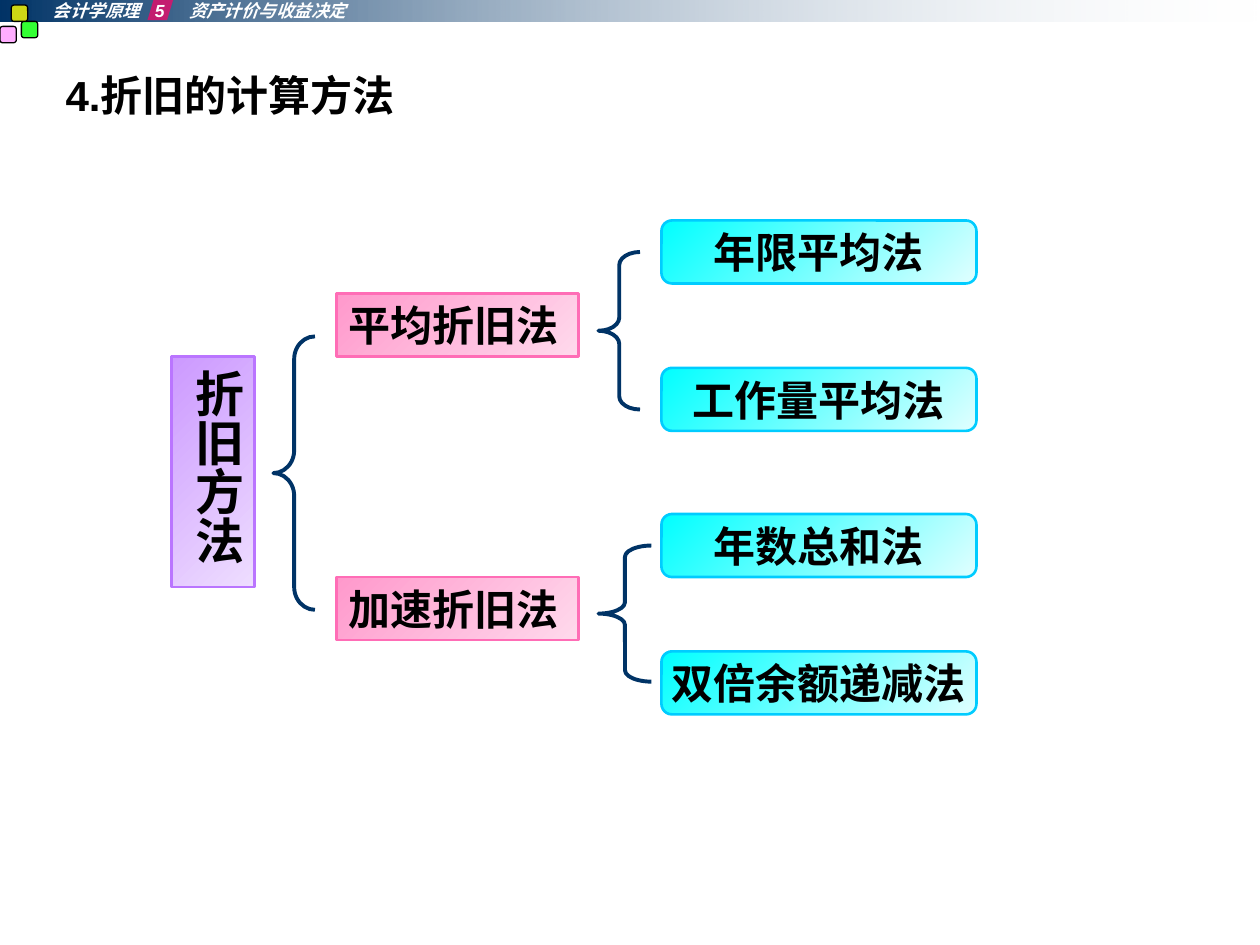
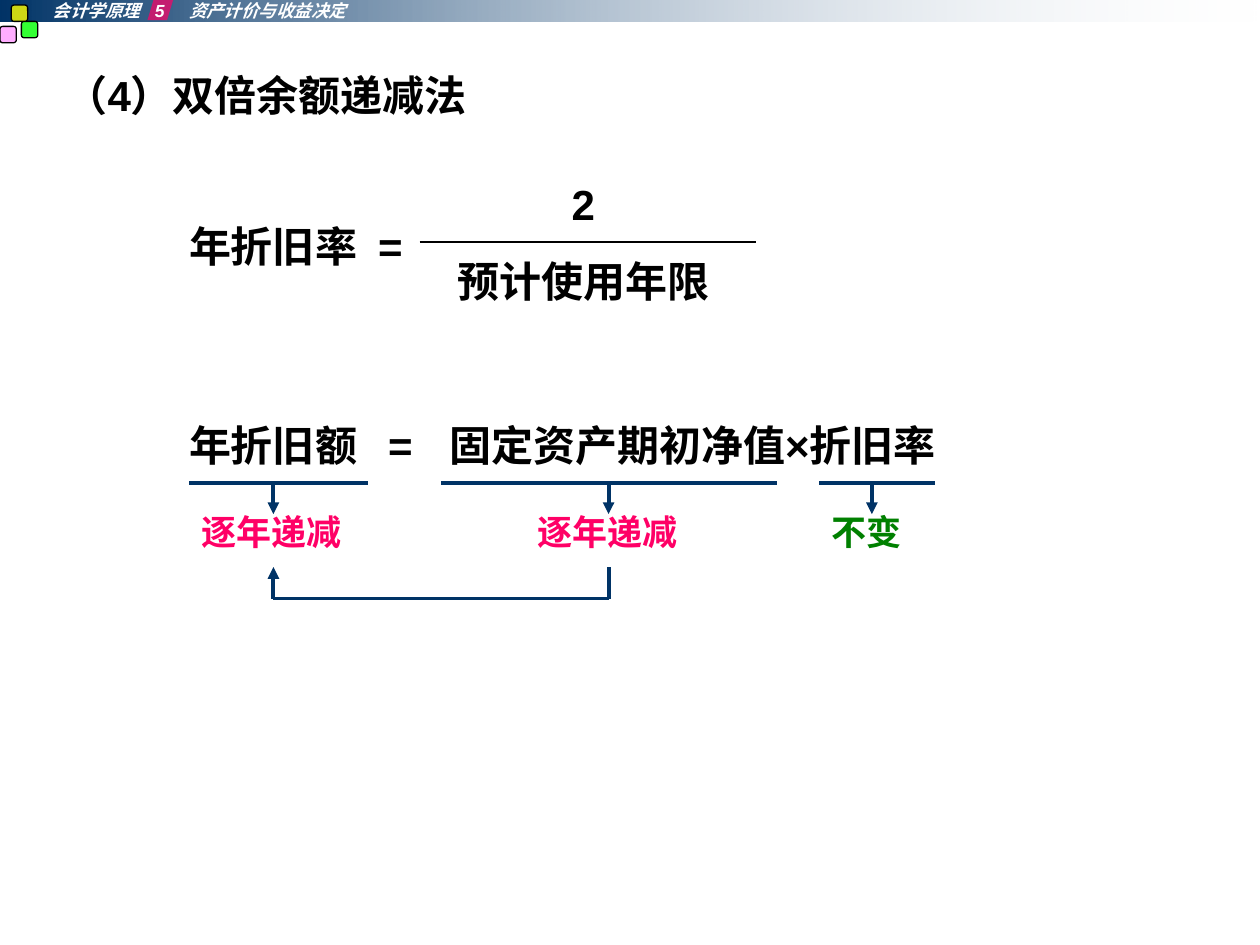
from dataclasses import dataclass
from lxml.etree import SubElement
from pptx import Presentation
from pptx.dml.color import RGBColor
from pptx.enum.lang import MSO_LANGUAGE_ID
from pptx.enum.shapes import MSO_CONNECTOR, MSO_SHAPE
from pptx.enum.text import MSO_ANCHOR, MSO_AUTO_SIZE, PP_ALIGN
from pptx.oxml.ns import qn
from pptx.util import Inches, Pt


@dataclass(frozen=True)
class Theme:
    font: str = "Arial"
    black: str = "000000"
    white: str = "FFFFFF"
    navy: str = "003366"
    mist: str = "E7ECF1"
    rose: str = "FF0066"
    green: str = "008000"
    squares: tuple = ("FF99FF", "00FF00", "FFFF00")
    purple: tuple = ("CC99FF", "EEDDFF")
    purple_line: str = "BA75FF"
    pink: tuple = ("FF99CC", "FFD9EC")
    pink_line: str = "FF6DB6"
    cyan: tuple = ("00FFFF", "E1FFFF")
    cyan_line: str = "00CCFF"
    header_size: int = 10
    note_size: int = 20
    text_size: int = 24
    root_size: int = 28
    hairline: float = 0.75
    outline: float = 1.5
    stroke: float = 2.25


theme = Theme()


def paint(shape, colors, line=None, width=theme.outline, opacity=None, angle=315):
    shape.shadow.inherit = False
    if len(colors) == 2:
        shape.fill.gradient()
        shape.fill.gradient_angle = angle
        for stop, color in zip(shape.fill.gradient_stops, colors):
            stop.color.rgb = RGBColor.from_string(color)
    elif colors:
        shape.fill.solid()
        shape.fill.fore_color.rgb = RGBColor.from_string(colors[0])
    else:
        shape.fill.background()
    if opacity is not None:
        last_color = list(shape._element.spPr.iter(qn("a:srgbClr")))[-1]
        SubElement(last_color, qn("a:alpha")).set("val", str(opacity * 1000))
    if line:
        shape.line.color.rgb = RGBColor.from_string(line)
        shape.line.width = Pt(width)
    else:
        shape.line.fill.background()


def write(shape, text, size=theme.text_size, color=theme.black, align=PP_ALIGN.LEFT,
          anchor=MSO_ANCHOR.TOP, margins=(0.1, 0.05), wrap=True):
    frame = shape.text_frame
    frame.text = text
    frame.word_wrap = wrap
    frame.auto_size = MSO_AUTO_SIZE.NONE
    frame.vertical_anchor = anchor
    frame.margin_left = frame.margin_right = Inches(margins[0])
    frame.margin_top = frame.margin_bottom = Inches(margins[1])
    for index, paragraph in enumerate(frame.paragraphs):
        paragraph.alignment = align
        paragraph.space_before = Pt(15 if index else 0)
        for run in paragraph.runs:
            run.font.name = theme.font
            run.font.size = Pt(size)
            run.font.bold = True
            run.font.color.rgb = RGBColor.from_string(color)
            run.font.language_id = MSO_LANGUAGE_ID.SIMPLIFIED_CHINESE


presentation = Presentation()
presentation.slide_width = Inches(10)
presentation.slide_height = Inches(7.5)

slides = []
for title in ("4.折旧的计算方法", "（4）双倍余额递减法"):
    slide = presentation.slides.add_slide(presentation.slide_layouts[5])
    slides.append(slide)
    heading = slide.shapes.title
    heading.left, heading.top = Inches(0.42), Inches(0.5)
    heading.width, heading.height = Inches(9.17), Inches(0.58)
    write(heading, title)

    band = slide.shapes.add_shape(MSO_SHAPE.RECTANGLE, 0, 0, Inches(10), Inches(0.17))
    paint(band, (theme.navy, theme.mist), opacity=0, angle=0)
    corners = ((0, 0.21), (0.17, 0.17), (0.09, 0.04))
    for (left, top), color in zip(corners, theme.squares):
        square = slide.shapes.add_shape(MSO_SHAPE.ROUNDED_RECTANGLE, Inches(left), Inches(top),
                                        Inches(0.13), Inches(0.13))
        paint(square, (color,), theme.black, theme.hairline, opacity=80)
    chapter_mark = slide.shapes.add_shape(MSO_SHAPE.PARALLELOGRAM, Inches(1.17), Inches(-0.02),
                                          Inches(0.21), Inches(0.18))
    chapter_mark.adjustments[0] = 0.3
    paint(chapter_mark, (theme.rose,), opacity=70)

    header = slide.shapes.add_textbox(Inches(0.42), 0, Inches(2.92), Inches(0.17))
    write(header, "会计学原理\t5\t资产计价与收益决定", theme.header_size, theme.white,
          margins=(0, 0))
    paragraph = header.text_frame.paragraphs[0]
    tab_list = SubElement(paragraph._p.get_or_add_pPr(), qn("a:tabLst"))
    for position in (0.81, 1.08):
        tab = SubElement(tab_list, qn("a:tab"))
        tab.set("pos", str(Inches(position)))
        tab.set("algn", "l")
    for run in paragraph.runs:
        run.font.italic = True

methods_slide, formula_slide = slides

root = methods_slide.shapes.add_shape(MSO_SHAPE.RECTANGLE, Inches(1.36), Inches(2.83),
                                      Inches(0.66), Inches(1.83))
paint(root, theme.purple, theme.purple_line)
write(root, "折旧方法", theme.root_size, align=PP_ALIGN.CENTER, margins=(0.05, 0.1))
root.text_frame._txBody.bodyPr.set("vert", "eaVert")

for text, top in (("平均折旧法", 2.33), ("加速折旧法", 4.58)):
    family = methods_slide.shapes.add_shape(MSO_SHAPE.RECTANGLE, Inches(2.67), Inches(top),
                                            Inches(1.92), Inches(0.5))
    paint(family, theme.pink, theme.pink_line)
    write(family, text)

methods = (("年限平均法", 1.75), ("工作量平均法", 2.92),
           ("年数总和法", 4.08), ("双倍余额递减法", 5.17))
for text, top in methods:
    method = methods_slide.shapes.add_shape(MSO_SHAPE.ROUNDED_RECTANGLE, Inches(5.25),
                                            Inches(top), Inches(2.5), Inches(0.5))
    paint(method, theme.cyan, theme.cyan_line)
    write(method, text, align=PP_ALIGN.CENTER, anchor=MSO_ANCHOR.MIDDLE, wrap=False)

braces = ((2.17, 2.67, 0.33, 2.17), (4.75, 2, 0.33, 1.25), (4.75, 4.33, 0.42, 1.08))
for left, top, width, height in braces:
    brace = methods_slide.shapes.add_shape(MSO_SHAPE.LEFT_BRACE, Inches(left), Inches(top),
                                           Inches(width), Inches(height))
    brace.adjustments[0] = height / 12 / width
    paint(brace, (), theme.navy, theme.stroke)

formula_parts = (
    ("固定资产期初净值×折旧率", 3.33, 3.33, 4.33, 0.4, PP_ALIGN.CENTER),
    ("=", 3.08, 3.33, 0.25, 0.4, PP_ALIGN.LEFT),
    ("年折旧额", 1.5, 3.33, 1.42, 0.4, PP_ALIGN.LEFT),
    ("年折旧率", 1.5, 1.75, 1.42, 0.4, PP_ALIGN.LEFT),
    ("=", 3, 1.75, 0.25, 0.4, PP_ALIGN.LEFT),
    ("2\n预计使用年限", 3.42, 1.42, 2.42, 1.01, PP_ALIGN.CENTER),
)
for text, left, top, width, height, align in formula_parts:
    part = formula_slide.shapes.add_textbox(Inches(left), Inches(top),
                                            Inches(width), Inches(height))
    write(part, text, align=align, margins=(0, 0))

lines = [
    (3.33, 1.92, 6, 1.92, theme.black, theme.outline, False),
    (4.83, 4.5, 4.83, 4.75, theme.navy, theme.stroke, False),
    (4.83, 4.75, 2.17, 4.75, theme.navy, theme.stroke, False),
    (2.17, 4.75, 2.17, 4.5, theme.navy, theme.stroke, True),
]
terms = (
    ("逐年递减", theme.rose, 1.5, 2.92, 2.17, 1.5, 1.33),
    ("逐年递减", theme.rose, 3.5, 6.17, 4.83, 4.17, 1.33),
    ("不变", theme.green, 6.5, 7.42, 6.92, 6.5, 0.92),
)
for text, color, start, end, arrow, left, width in terms:
    lines.append((start, 3.83, end, 3.83, theme.navy, theme.stroke, False))
    lines.append((arrow, 3.83, arrow, 4.08, theme.navy, theme.stroke, True))
    note = formula_slide.shapes.add_textbox(Inches(left), Inches(4), Inches(width), Inches(0.44))
    write(note, text, theme.note_size, color)

for start_x, start_y, end_x, end_y, color, width, has_arrow in lines:
    connector = formula_slide.shapes.add_connector(MSO_CONNECTOR.STRAIGHT, Inches(start_x),
                                                   Inches(start_y), Inches(end_x), Inches(end_y))
    connector.line.color.rgb = RGBColor.from_string(color)
    connector.line.width = Pt(width)
    if has_arrow:
        SubElement(connector.line._get_or_add_ln(), qn("a:tailEnd")).set("type", "triangle")
    SubElement(connector._element.spPr, qn("a:effectLst"))

presentation.save("out.pptx")
